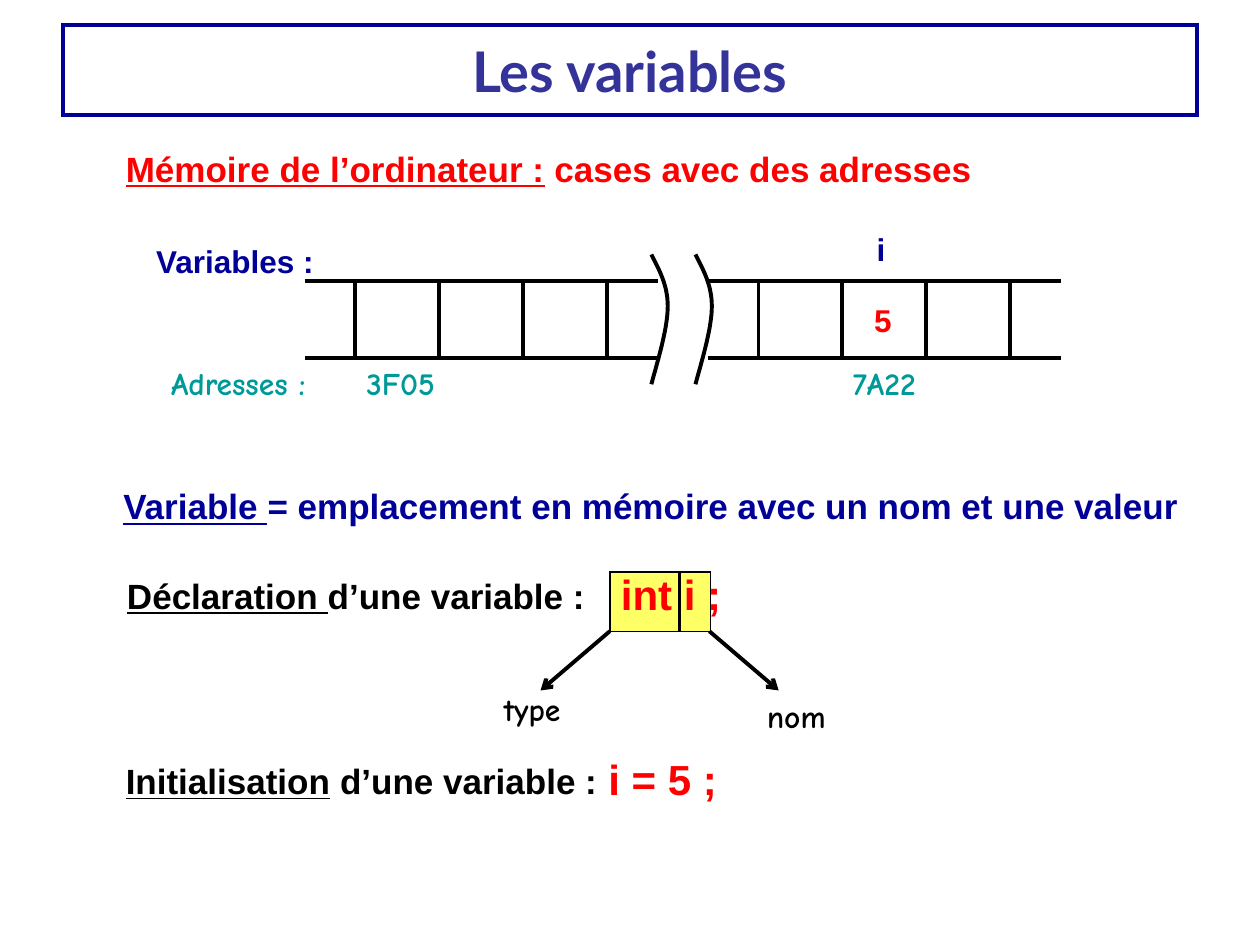
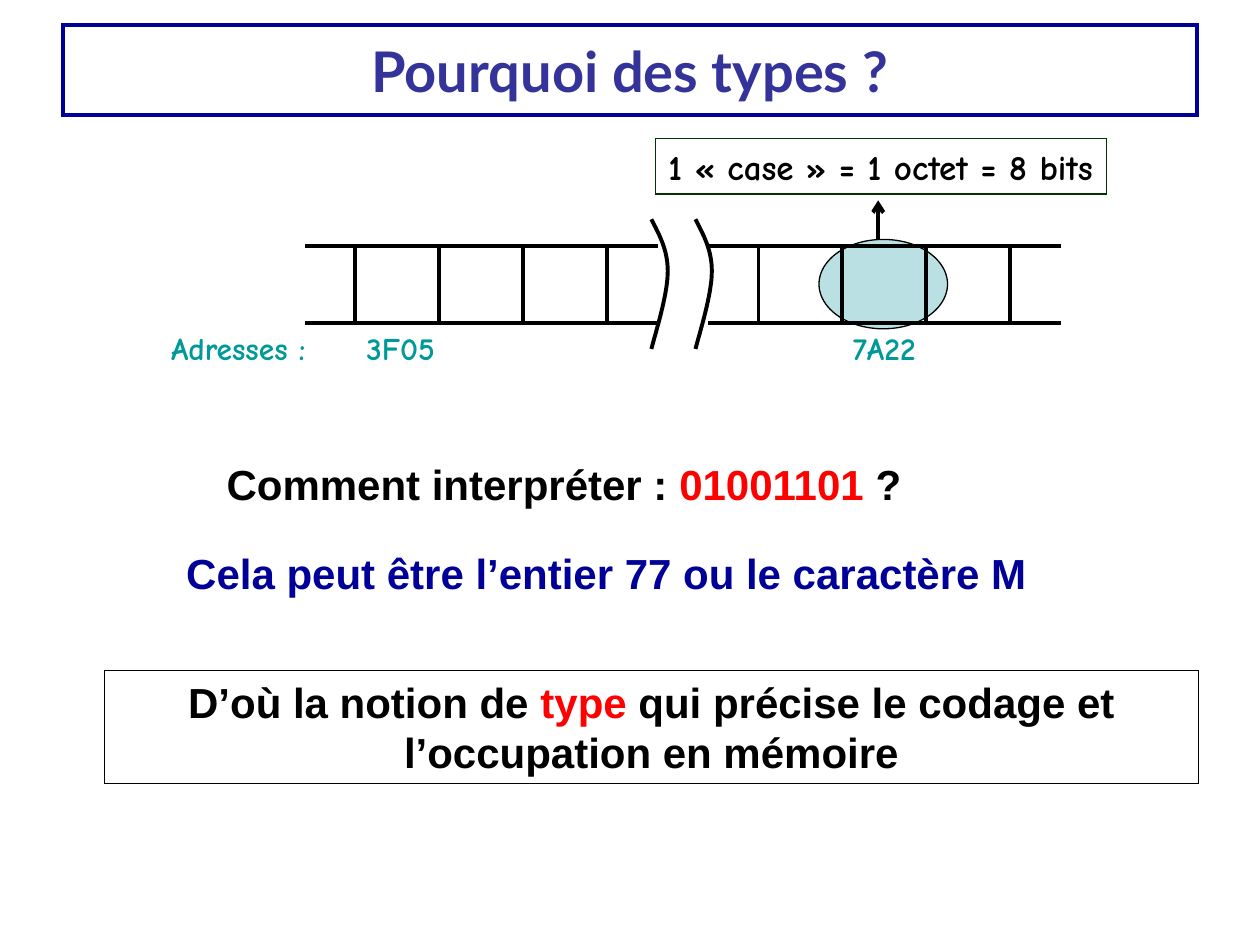
from dataclasses import dataclass

from lxml import etree
from pptx import Presentation
from pptx import util as u
from pptx.dml.color import RGBColor
from pptx.enum import shapes, text
from pptx.oxml import ns

PX = 9144  # EMU per px: 100 px to the inch


@dataclass(frozen=True)
class Theme:
    black: str = "000000"
    navy: str = "000099"
    indigo: str = "333399"
    red: str = "FF0000"
    teal: str = "009999"
    green: str = "003300"
    yellow: str = "FFFF66"
    pale_blue: str = "BBE0E3"
    title_font: str = "Lato"
    body_font: str = "Arial"
    note_font: str = "Comic Neue"
    title: int = 32
    large: int = 24
    body: int = 20
    small: int = 18
    thick: float = 2.25
    thin: float = 0.75


T = Theme()
TITLE_BOX = (50, 20, 900, 71)
SLACK = 3  # spare width that keeps each label on one line


def emu(*lengths):
    return [round(n * PX) for n in lengths]


def rgb(colour):
    return RGBColor.from_string(colour)


def outline(sp, colour, width):
    """Give a shape or connector a solid line with square corners."""
    sp.line.color.rgb = rgb(colour)
    sp.line.width = u.Pt(width)
    etree.SubElement(sp.line._get_or_add_ln(), ns.qn("a:miter"), lim="800000")


def write(sp, runs, size, font, colour, align=text.PP_ALIGN.LEFT):
    """Fill a shape; each run is a string or (string, colour, underlined)."""
    p = sp.text_frame.paragraphs[0]
    p.alignment = align
    p.font.size, p.font.name, p.font.bold = u.Pt(size), font, True
    p.font.color.rgb = rgb(colour)
    for run in [runs] if isinstance(runs, str) else runs:
        words, run_colour, underlined = (run, None, False) if isinstance(run, str) else run
        r = p.add_run()
        r.text = words
        if run_colour:
            r.font.color.rgb = rgb(run_colour)
        if underlined:
            r.font.underline = True


def add_text(parent, box, runs, size=T.small, font=T.body_font, colour=T.black):
    x, y, width, height = box
    sp = parent.add_textbox(*emu(x, y, width + SLACK, height))
    sp.text_frame.word_wrap = False
    sp.text_frame.auto_size = text.MSO_AUTO_SIZE.SHAPE_TO_FIT_TEXT
    write(sp, runs, size, font, colour)


def add_box(parent, box, fill=None, line=T.black, kind=shapes.MSO_SHAPE.RECTANGLE):
    sp = parent.add_shape(kind, *emu(*box))
    sp.shadow.inherit = False
    if fill:
        sp.fill.solid()
        sp.fill.fore_color.rgb = rgb(fill)
    else:
        sp.fill.background()
    outline(sp, line, T.thin)
    return sp


def add_line(parent, x1, y1, x2, y2, arrow=False):
    line = parent.add_connector(shapes.MSO_CONNECTOR.STRAIGHT, *emu(x1, y1, x2, y2))
    outline(line, T.black, T.thick)
    if arrow:
        etree.SubElement(line.line._get_or_add_ln(), ns.qn("a:tailEnd"), type="arrow")
    etree.SubElement(line._element.spPr, ns.qn("a:effectLst"))


def add_break(parent, x, y):
    """Curved tear mark, 13 px wide and 103 px high."""
    upper = [(0, 0), (6, 12), (13, 24), (13, 41)]
    lower = [(13, 41), (13, 58), (6, 81), (0, 103)]
    steps = 16
    points = []
    for curve in (upper, lower):
        for i in range(steps + 1):
            t = i / steps
            weights = ((1 - t) ** 3, 3 * t * (1 - t) ** 2, 3 * t * t * (1 - t), t ** 3)
            points.append(emu(x + sum(w * c[0] for w, c in zip(weights, curve)),
                              y + sum(w * c[1] for w, c in zip(weights, curve))))
    builder = parent.build_freeform(*points[0])
    builder.add_line_segments(points[1:], close=False)
    sp = builder.convert_to_shape()
    sp.shadow.inherit = False
    sp.fill.background()
    outline(sp, T.black, T.thick)


def add_memory(slide, x, y):
    """Row of memory cells in two stretches, with the addresses under it."""
    height, length, pitch = 61, 280, 66.5
    strip = slide.shapes.add_group_shape().shapes
    for start in (x, x + 320):
        for edge in (y, y + height):
            add_line(strip, start, edge, start + length, edge)
        for i in range(4):
            wall = start + 40 + i * pitch
            add_line(strip, wall, y, wall, y + height)
    for offset in (275, 310):
        add_break(strip, x + offset, y - 21)
    for words, offset, width in (("Adresses :", -116, 127), ("3F05", 39, 74), ("7A22", 425, 70)):
        add_text(strip, (x + offset, y + height, width, 40), words, T.small, T.note_font, T.teal)


def add_declaration(slide, x, y):
    """Declaration with its type and name boxed and labelled."""
    s = slide.shapes
    bottom = y + 47
    parts = (("type", 0, 55, 0, -55, (-94, 89, 65, 40)),
             ("nom", 56, 24, 79, 134, (115, 94, 66, 40)))
    for label, left, width, start, end, (dx, dy, w, h) in parts:
        add_box(s, (x + left, y, width, 47), T.yellow)
        add_line(s, x + start, bottom, x + end, bottom + 47, arrow=True)
        add_text(s, (x + dx, y + dy, w, h), label, font=T.note_font)
    add_text(s, (x - 1, y - 8, 99, 50), "int i ;", T.large, colour=T.red)


def add_titled_slide(prs, title):
    slide = prs.slides.add_slide(prs.slide_layouts[5])
    sp = slide.shapes.title
    sp.left, sp.top, sp.width, sp.height = emu(*TITLE_BOX)
    sp.text_frame.vertical_anchor = text.MSO_ANCHOR.MIDDLE
    outline(sp, T.navy, T.thick)
    write(sp, title, T.title, T.title_font, T.indigo, text.PP_ALIGN.CENTER)
    return slide


def variables_slide(prs):
    slide = add_titled_slide(prs, "Les variables")
    s = slide.shapes
    statements = (
        ((90, 112, 691, 44), "Mémoire de l’ordinateur :", " cases avec des adresses", T.red),
        ((88, 380, 859, 44), "Variable ", "= emplacement en mémoire avec un nom et une valeur", T.navy),
        ((91, 451, 383, 44), "Déclaration ", "d’une variable :", T.black),
        ((90, 598, 394, 44), "Initialisation", " d’une variable :", T.black),
    )
    for box, term, rest, colour in statements:
        add_text(s, box, [(term, None, True), rest], T.body, colour=colour)
    add_memory(slide, 242, 223)
    add_text(s, (684, 234, 34, 40), "5", colour=T.red)
    add_text(s, (686, 178, 27, 40), "i", colour=T.navy)
    add_text(s, (114, 187, 146, 40), "Variables :", colour=T.navy)
    add_declaration(slide, 484, 454)
    add_text(s, (473, 593, 106, 50), "i = 5 ;", T.large, colour=T.red)


def types_slide(prs):
    slide = add_titled_slide(prs, "Pourquoi des types ?")
    s = slide.shapes
    add_box(s, (650, 190, 102, 71), T.pale_blue, kind=shapes.MSO_SHAPE.OVAL)
    add_memory(slide, 242, 195)
    add_line(s, 697, 190, 697, 159, arrow=True)

    octet = add_box(s, (520, 110, 358, 44), line=T.green)
    octet.text_frame.word_wrap = False
    write(octet, "1 « case » = 1 octet = 8 bits", T.body, T.note_font, T.black,
          text.PP_ALIGN.CENTER)

    add_text(s, (170, 359, 557, 50),
             ["Comment interpréter : ", ("01001101 ", T.red, False), "?"], T.large)
    add_text(s, (138, 430, 687, 50), "Cela peut être l’entier 77 ou le caractère M",
             T.large, colour=T.navy)

    conclusion = add_box(s, (83, 532, 868, 90))
    write(conclusion, ["D’où la notion de ", ("type", T.red, False),
                       " qui précise le codage et l’occupation en mémoire"],
          T.large, T.body_font, T.black, text.PP_ALIGN.CENTER)


def main():
    prs = Presentation()
    prs.slide_width, prs.slide_height = emu(1000, 750)
    variables_slide(prs)
    types_slide(prs)
    prs.save("out.pptx")


if __name__ == "__main__":
    main()
